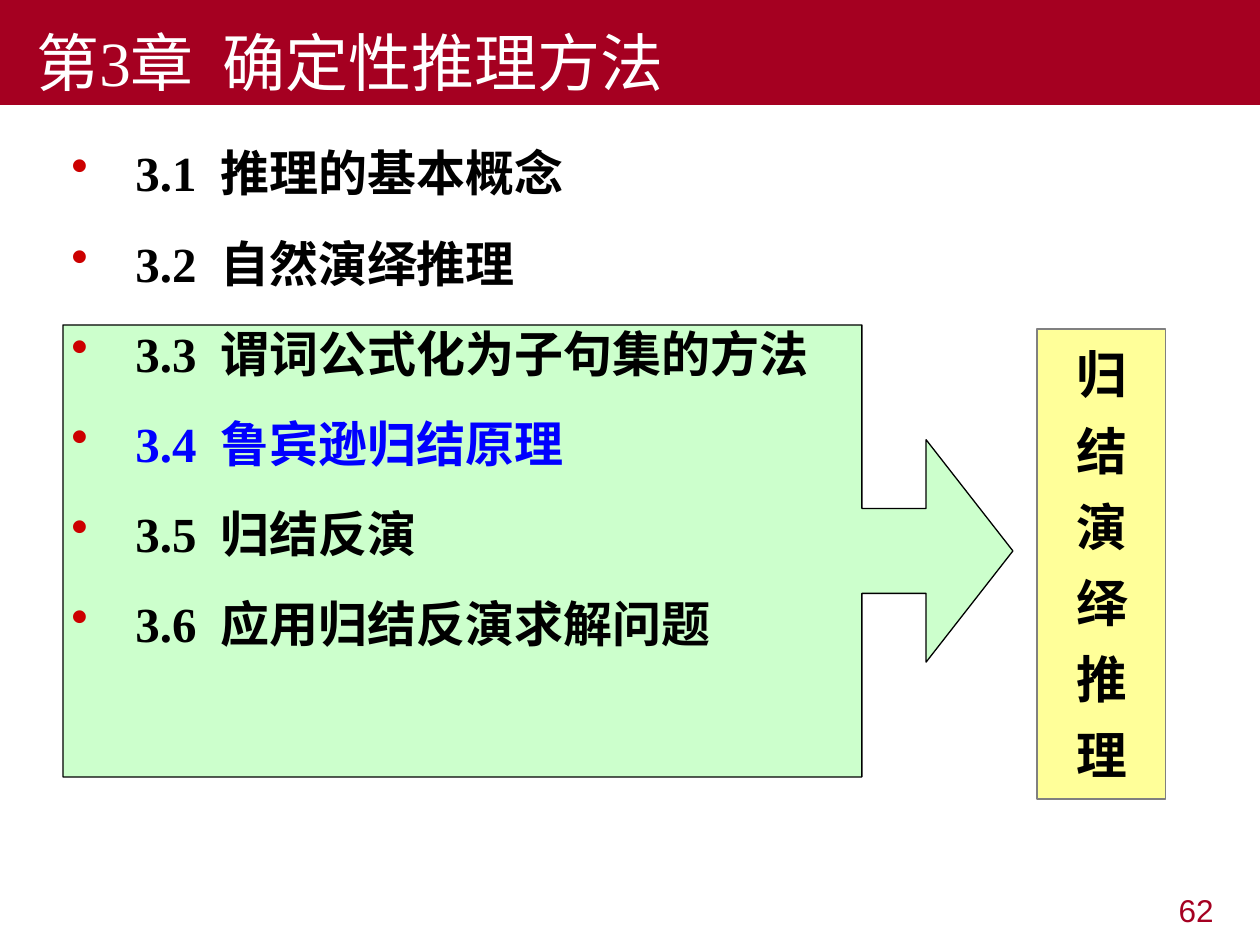
"""Build the chapter 3 outline slide on deterministic reasoning methods."""
from lxml import etree
from pptx import Presentation
from pptx.dml.color import RGBColor
from pptx.enum.shapes import MSO_SHAPE
from pptx.enum.text import MSO_ANCHOR, PP_ALIGN
from pptx.oxml.ns import qn
from pptx.util import Pt

PX = 914400 // 126
RECTANGLE = MSO_SHAPE.RECTANGLE
CALLOUT = MSO_SHAPE.RIGHT_ARROW_CALLOUT
MIDDLE, BOTTOM = MSO_ANCHOR.MIDDLE, MSO_ANCHOR.BOTTOM
CENTER, RIGHT = PP_ALIGN.CENTER, PP_ALIGN.RIGHT
CRIMSON = RGBColor(0xA5, 0x00, 0x21)
GREEN = RGBColor(0xCC, 0xFF, 0xCC)
YELLOW = RGBColor(0xFF, 0xFF, 0x99)
GRAY = RGBColor(0x80, 0x80, 0x80)
BLACK = RGBColor(0x00, 0x00, 0x00)
WHITE = RGBColor(0xFF, 0xFF, 0xFF)
BLUE = RGBColor(0x00, 0x00, 0xFF)
SECTIONS = [
    ("3.1  推理的基本概念", BLACK),
    ("3.2  自然演绎推理", BLACK),
    ("3.3  谓词公式化为子句集的方法", BLACK),
    ("3.4  鲁宾逊归结原理", BLUE),
    ("3.5  归结反演", BLACK),
    ("3.6  应用归结反演求解问题", BLACK),
]


def add_block(kind, box, fill, line=None):
    shape = slide.shapes.add_shape(kind, *[value * PX for value in box])
    shape.shadow.inherit = False
    shape.fill.solid()
    shape.fill.fore_color.rgb = fill
    if line is None:
        shape.line.fill.background()
    else:
        shape.line.color.rgb = line
        shape.line.width = Pt(0.75)
    return shape


def write_paragraph(frame, index, text, name, size, color, bold=False):
    paragraph = frame.add_paragraph() if index else frame.paragraphs[0]
    paragraph.text = text
    paragraph.font.name = name
    paragraph.font.size = Pt(size)
    paragraph.font.color.rgb = color
    paragraph.font.bold = bold
    return paragraph


presentation = Presentation()
presentation.slide_width = 1260 * PX
presentation.slide_height = 945 * PX
slide = presentation.slides.add_slide(presentation.slide_layouts[6])

number_box = slide.shapes.add_textbox(932 * PX, 885 * PX, 294 * PX, 66 * PX)
number_box.text_frame.word_wrap = True
number = write_paragraph(number_box.text_frame, 0, "62", "Arial", 18, CRIMSON)
number.alignment = RIGHT

callout = add_block(CALLOUT, (63, 325, 950, 452), GREEN, BLACK)
for index, value in enumerate((0.188, 0.246, 0.192, 0.841)):
    callout.adjustments[index] = value

summary = add_block(RECTANGLE, (1037, 329, 129, 470), YELLOW, GRAY)
summary.text_frame.vertical_anchor = MIDDLE
for index, character in enumerate("归结演绎推理"):
    paragraph = write_paragraph(summary.text_frame, index, character, "Arial", 29, BLACK, True)
    paragraph.alignment = CENTER
    if index:
        paragraph.space_before = Pt(8.7)

banner = add_block(RECTANGLE, (0, 0, 1260, 105), CRIMSON)
banner.text_frame.vertical_anchor = BOTTOM
title = write_paragraph(
    banner.text_frame, 0, "第3章  确定性推理方法", "Times New Roman", 36, WHITE)
title.alignment = PP_ALIGN.LEFT
title._p.get_or_add_pPr().set("indent", str(24 * PX))

outline = slide.shapes.add_textbox(59 * PX, 125 * PX, 1191 * PX, 745 * PX)
outline.text_frame.word_wrap = True
for index, (text, color) in enumerate(SECTIONS):
    paragraph = write_paragraph(
        outline.text_frame, index, text, "Times New Roman", 28, color, True)
    paragraph.line_spacing = 1.2
    if index:
        paragraph.space_before = Pt(11.2)
    properties = paragraph._p.get_or_add_pPr()
    properties.set("marL", str(64 * PX))
    properties.set("indent", str(-64 * PX))
    bullet_color = etree.Element(qn("a:buClr"))
    etree.SubElement(bullet_color, qn("a:srgbClr")).set("val", "CC0000")
    bullet = etree.Element(qn("a:buChar"))
    bullet.set("char", "•")
    run_defaults = properties.find(qn("a:defRPr"))
    run_defaults.addprevious(bullet_color)
    run_defaults.addprevious(bullet)

presentation.save("out.pptx")
